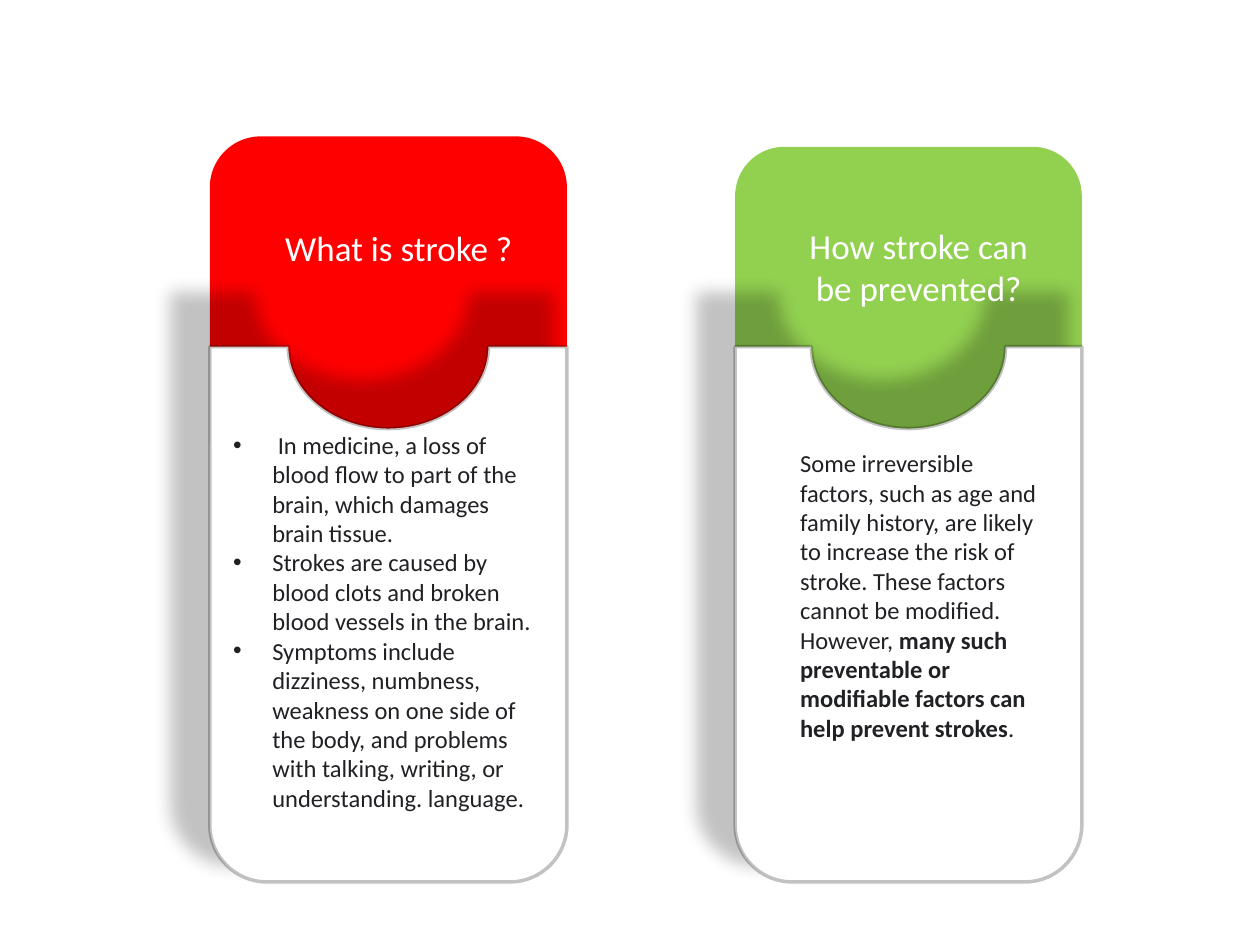
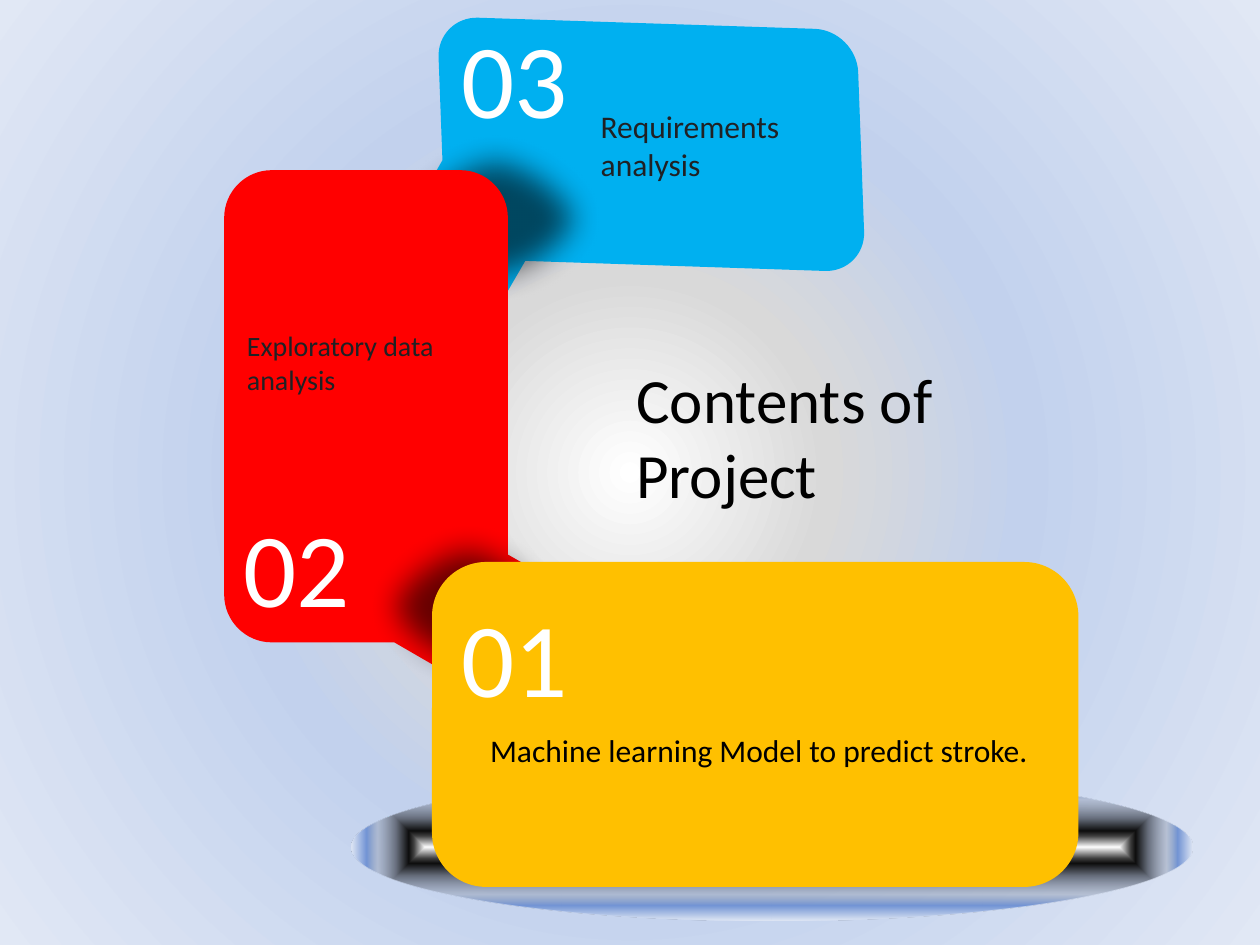
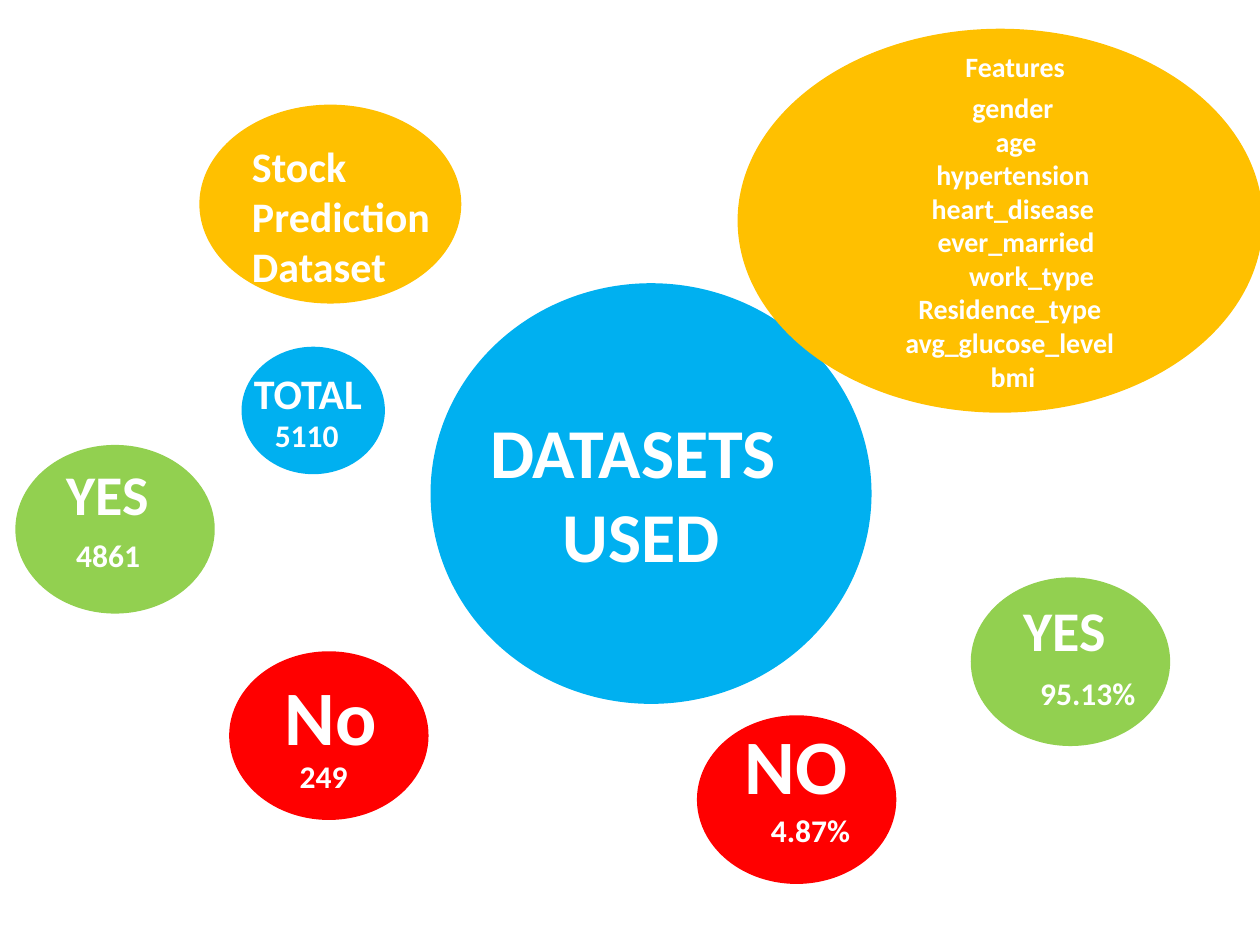
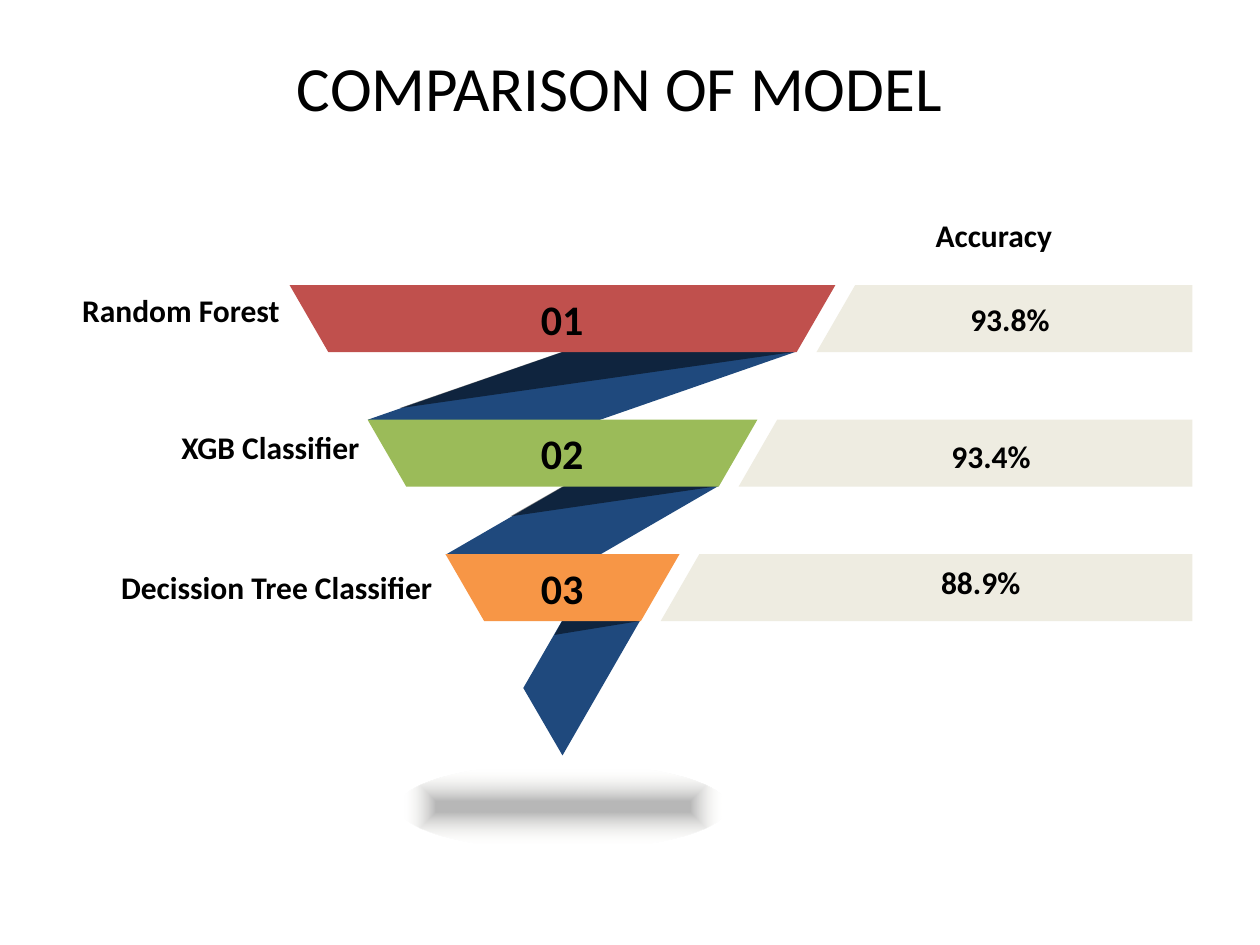
"""Build four slides on a stroke prediction project."""
from dataclasses import dataclass

from lxml import etree
from pptx import Presentation
from pptx.dml.color import RGBColor
from pptx.enum.shapes import MSO_SHAPE
from pptx.enum.text import MSO_ANCHOR, MSO_AUTO_SIZE, PP_ALIGN
from pptx.oxml import parse_xml
from pptx.oxml.ns import nsdecls, qn
from pptx.util import Cm, Pt

OVAL = MSO_SHAPE.OVAL
ROUNDED = MSO_SHAPE.ROUNDED_RECTANGLE
TOP_ROUNDED = MSO_SHAPE.ROUND_2_SAME_RECTANGLE
LEFT, CENTER, RIGHT = PP_ALIGN.LEFT, PP_ALIGN.CENTER, PP_ALIGN.RIGHT
TOP, MIDDLE = MSO_ANCHOR.TOP, MSO_ANCHOR.MIDDLE
FIT_SHAPE, FIXED = MSO_AUTO_SIZE.SHAPE_TO_FIT_TEXT, MSO_AUTO_SIZE.NONE

FONT = "Calibri"
COLORS = {
    "white": "FFFFFF", "black": "000000", "ink": "202124",
    "red": "FF0000", "green": "92D050", "blue": "00B0F0", "amber": "FFC000",
    "navy": "1F497D", "sand": "EEECE1",
    "brick": "C0504D", "olive": "9BBB59", "orange": "F79646",
}
PAGE_GLOW = [(0, "FFFFFF", 100), (25, "D9D9D9", 100), (50, "C2D1ED", 100), (100, "E1E8F5", 100)]
PLATE_GLOW = [(0, "FFFFFF", 100), (15, "404040", 100), (22, "0D0D0D", 100), (39, "686F7D", 100),
              (64, "95A0B5", 48), (79, "7294D5", 100), (100, "E1E8F5", 100)]
FLOOR_GLOW = [(12, "595959", 43), (86, "EEECE1", 0), (100, "F2F2F2", 0)]
SOFT_EDGE = f'<a:softEdge {nsdecls("a")} rad="228600"/>'
PANEL_SHADOW = (f'<a:outerShdw {nsdecls("a")} blurRad="127000" dist="320000" dir="13980000" '
                'sx="107000" sy="107000" algn="ctr" rotWithShape="0"><a:srgbClr val="000000">'
                '<a:alpha val="23000"/></a:srgbClr></a:outerShdw>')

Area = tuple[float, float, float, float]
Point = tuple[float, float]


@dataclass
class Corner:
    """An outline corner in centimetres, with the reach of its arc on both sides."""
    x: float
    y: float
    back: float = 0
    ahead: float = 0


@dataclass
class Caption:
    """A text box and its look."""
    area: Area
    text: str
    size: int
    color: str = "white"
    bold: bool = False
    align: int = LEFT
    anchor: int = TOP
    flush: bool = False
    wrap: bool = True
    fit: int = FIT_SHAPE


@dataclass
class Card:
    """A headed panel with a notch."""
    left: float
    top: float
    width: float
    color: str
    heading: Caption
    body: Caption


@dataclass
class Bubble:
    """An oval with its captions."""
    area: Area
    color: str
    captions: list[Caption]


@dataclass
class Step:
    """One level of the model funnel."""
    label: Caption
    value: Caption
    color: str
    ribbon: list[Point]
    shade_tip: Point


def set_alpha(fill_holder, percent: int) -> None:
    """Make the solid fill inside an element partly transparent."""
    color = fill_holder.find(qn("a:solidFill")).find(qn("a:srgbClr"))
    etree.SubElement(color, qn("a:alpha")).set("val", str(percent * 1000))


def set_gradient(fill_holder, stops: list, shape: str) -> None:
    """Replace the solid fill inside an element by a centred gradient."""
    marks = "".join(
        f'<a:gs pos="{place * 1000}"><a:srgbClr val="{color}">'
        f'<a:alpha val="{alpha * 1000}"/></a:srgbClr></a:gs>'
        for place, color, alpha in stops)
    gradient = parse_xml(
        f'<a:gradFill {nsdecls("a")} rotWithShape="1"><a:gsLst>{marks}</a:gsLst>'
        f'<a:path path="{shape}"><a:fillToRect l="50000" t="50000" r="50000" b="50000"/>'
        '</a:path></a:gradFill>')
    fill_holder.replace(fill_holder.find(qn("a:solidFill")), gradient)


def paint(shape, color: str, alpha: int = 100):
    """Give a shape a flat fill without line or shadow."""
    shape.shadow.inherit = False
    shape.fill.solid()
    shape.fill.fore_color.rgb = RGBColor.from_string(COLORS[color])
    shape.line.fill.background()
    if alpha < 100:
        set_alpha(shape.element.spPr, alpha)
    return shape


def add_effect(shape, effect: str) -> None:
    """Put one effect on a painted shape."""
    shape.element.spPr.find(qn("a:effectLst")).append(parse_xml(effect))


def add_preset(page, kind: int, area: Area, color: str, alpha: int = 100):
    """Add a painted preset shape."""
    return paint(page.shapes.add_shape(kind, *map(Cm, area)), color, alpha)


def add_polygon(page, points: list[Point], color: str, alpha: int = 100):
    """Add a painted closed outline."""
    start, *others = [(Cm(x), Cm(y)) for x, y in points]
    builder = page.shapes.build_freeform(*start)
    builder.add_line_segments(others, close=True)
    return paint(builder.convert_to_shape(), color, alpha)


def add_rounded_outline(page, corners: list[Corner], color: str):
    """Add a painted outline whose corners are Bezier arcs."""
    points, curve_starts = [], []

    def visit(spot: complex) -> None:
        """Append a point unless the outline is already there."""
        if not points or abs(complex(*points[-1]) - spot) > 0.01:
            points.append((spot.real, spot.imag))

    for index, corner in enumerate(corners):
        here = complex(corner.x, corner.y)
        if not corner.back:
            visit(here)
            continue
        before, after = corners[index - 1], corners[(index + 1) % len(corners)]
        back, ahead = (reach * gap / abs(gap) for reach, gap in (
            (corner.back, complex(before.x, before.y) - here),
            (corner.ahead or corner.back, complex(after.x, after.y) - here)))
        visit(here + back)
        curve_starts.append(len(points))
        for spot in (here + 0.45 * back, here + 0.45 * ahead, here + ahead):
            visit(spot)

    shape = add_polygon(page, points, color)
    outline = next(shape.element.iter(qn("a:moveTo"))).getparent()
    steps = list(outline)
    for start in curve_starts:
        curve = etree.Element(qn("a:cubicBezTo"))
        outline.replace(steps[start], curve)
        for step in steps[start:start + 3]:
            curve.append(step[0])
        for step in steps[start + 1:start + 3]:
            outline.remove(step)
    return shape


def style_span(span, caption: Caption) -> None:
    """Apply a caption's font to a run."""
    span.font.name = FONT
    span.font.size = Pt(caption.size)
    span.font.bold = caption.bold
    span.font.color.rgb = RGBColor.from_string(COLORS[caption.color])


def write(page, caption: Caption):
    """Add a caption and return its text frame."""
    frame = page.shapes.add_textbox(*map(Cm, caption.area)).text_frame
    frame.word_wrap = caption.wrap
    frame.auto_size = caption.fit
    frame.vertical_anchor = caption.anchor
    if caption.flush:
        frame.margin_left = frame.margin_right = 0
    frame.text = caption.text
    for para in frame.paragraphs:
        para.alignment = caption.align
        for span in para.runs:
            style_span(span, caption)
    return frame


def add_bullets(frame) -> None:
    """Hang a bullet before every paragraph."""
    for para in frame.paragraphs:
        properties = para._p.get_or_add_pPr()
        properties.set("marL", str(Cm(0.79)))
        properties.set("indent", str(-Cm(0.79)))
        etree.SubElement(properties, qn("a:buFont")).set("typeface", "Arial")
        etree.SubElement(properties, qn("a:buChar")).set("char", "•")


def draw_card(page, card: Card):
    """Draw a headed card and return the frame of its body."""
    edge, bottom, curve, depth = 6.99, 17.78, 1.15, 1.65
    add_preset(page, TOP_ROUNDED, (card.left, card.top, card.width, 8.92 - card.top), card.color)
    middle, right = card.left + card.width / 2, card.left + card.width
    reach = 0.28 * card.width
    corners = [
        Corner(card.left, edge),
        Corner(middle - reach, edge), Corner(middle - reach, edge + depth, depth, reach),
        Corner(middle + reach, edge + depth, reach, depth), Corner(middle + reach, edge),
        Corner(right, edge), Corner(right, bottom, curve), Corner(card.left, bottom, curve),
    ]
    panel = add_rounded_outline(page, corners, "white")
    panel.line.color.rgb = RGBColor.from_string(COLORS["black"])
    panel.line.width = Pt(2)
    set_alpha(panel.line._ln, 23)
    add_effect(panel, PANEL_SHADOW)
    write(page, card.heading)
    return write(page, card.body)


def build_stroke_page(page) -> None:
    """Explain stroke and its prevention."""
    meaning = Card(
        4.23, 2.75, 7.2, "red",
        Caption((5.5, 4.45, 5.08, 1.11), "What is stroke ?", 20, align=CENTER),
        Caption((4.45, 8.54, 6.77, 9.25),
                " In medicine, a loss of blood flow to part of the brain, "
                "which damages brain tissue.\n"
                "Strokes are caused by blood clots and broken blood vessels in the brain.\n"
                "Symptoms include dizziness, numbness, weakness on one side of the body, "
                "and problems with talking, writing, or understanding. language.", 14, "ink"))
    prevention = Card(
        14.82, 2.96, 6.99, "green",
        Caption((15.66, 4.4, 5.72, 1.96), "How stroke can be prevented?", 20, align=CENTER),
        Caption((15.88, 8.91, 5.28, 6.25),
                "Some irreversible factors, such as age and family history, are likely to "
                "increase the risk of stroke. These factors cannot be modified. However, ",
                14, "ink"))
    add_bullets(draw_card(page, meaning))
    para = draw_card(page, prevention).paragraphs[0]
    ending = [("many such preventable or modifiable factors can help prevent strokes", True),
              (".", False)]
    for words, bold in ending:
        span = para.add_run()
        span.text = words
        style_span(span, prevention.body)
        span.font.bold = bold


def build_contents_page(page) -> None:
    """List the contents of the project."""
    page.background.fill.solid()
    page.background.fill.fore_color.rgb = RGBColor.from_string(COLORS["white"])
    set_gradient(page.element.find(".//" + qn("p:bgPr")), PAGE_GLOW, "circle")

    blue_callout = [Corner(17.27, 0.61, 0.85), Corner(17.45, 5.49, 0.82), Corner(10.59, 5.26),
                    Corner(8.69, 8.53, 1.15), Corner(6.63, 7.24, 1.1), Corner(8.92, 3.23),
                    Corner(8.81, 0.33, 0.83)]
    red_callout = [Corner(4.52, 3.43, 0.96), Corner(10.24, 3.43, 0.96), Corner(10.24, 11.18),
                   Corner(14.05, 13.36, 1.28), Corner(12.7, 15.7, 1.28), Corner(7.95, 12.95),
                   Corner(4.52, 12.95, 0.96)]
    add_rounded_outline(page, blue_callout, "blue")
    add_effect(add_preset(page, OVAL, (7.65, 2.57, 4.67, 3.68), "black", 60), SOFT_EDGE)
    add_rounded_outline(page, red_callout, "red")
    write(page, Caption((4.65, 10.01, 3.61, 2.82), "02", 60))
    write(page, Caption((9.06, 0.14, 3.38, 5.38), "03", 60))
    write(page, Caption((11.86, 2.03, 5.28, 1.8), "Requirements analysis", 18, "ink"))
    plate = add_preset(page, OVAL, (7.09, 15.59, 16.94, 2.97), "white")
    set_gradient(plate.element.spPr, PLATE_GLOW, "shape")
    add_effect(add_preset(page, OVAL, (7.21, 10.39, 4.45, 3.68), "black", 60), SOFT_EDGE)
    add_preset(page, ROUNDED, (8.71, 11.33, 13.03, 6.55), "amber")
    write(page, Caption((9.06, 11.81, 3.38, 2.82), "01", 60))
    write(page, Caption((9.63, 14.61, 12.57, 1.02),
                        "Machine learning Model to predict stroke.", 18, "black"))
    write(page, Caption((4.73, 6.5, 4.98, 2.31), "Exploratory data analysis", 16, "ink"))
    write(page, Caption((12.58, 7.14, 10.08, 3.33), "Contents of Project", 36, "black"))


def build_datasets_page(page) -> None:
    """Show the dataset, its counts and its features."""
    def bold(area: Area, text: str, size: int, align: int = CENTER) -> Caption:
        """Make a bold white caption."""
        return Caption(area, text, size, bold=True, align=align)

    features = bold((15.34, 1.7, 10.16, 7.09),
                    "gender\n age\n hypertension \nheart_disease\n ever_married\nwork_type \n"
                    "Residence_type \navg_glucose_level \nbmi", 16)
    bubbles = [
        Bubble((8.68, 5.71, 8.89, 8.48), "blue",
               [bold((9.53, 8.11, 6.78, 3.68), "DATASETS \nUSED", 40)]),
        Bubble((4.02, 2.11, 5.28, 4.01), "amber",
               [bold((4.83, 2.7, 5.28, 4.37), "Stock Prediction\nDataset", 24, LEFT)]),
        Bubble((0.31, 8.97, 4.02, 3.4), "green",
               [bold((0, 9.14, 4.34, 1.63), "YES", 32), bold((1.01, 10.69, 2.34, 1.02), "4861", 18)]),
        Bubble((4.87, 6.99, 2.89, 2.57), "blue",
               [bold((4.87, 7.29, 2.9, 1.27), "TOTAL", 24, LEFT),
                bold((5.29, 8.27, 1.91, 1.02), "5110", 18, LEFT)]),
        Bubble((4.62, 13.13, 4.02, 3.4), "red",
               [bold((4.48, 13.36, 4.39, 2.13), "No", 44),
                bold((5.51, 15.14, 2.03, 1.02), "249", 18)]),
        Bubble((14.87, 0.58, 10.59, 7.74), "amber",
               [bold((17.48, 0.88, 5.97, 1.63), "Features", 16)]),
        Bubble((19.57, 11.64, 4.02, 3.4), "green",
               [bold((19.5, 11.89, 3.94, 1.63), "YES", 32),
                bold((20.42, 13.46, 3.02, 1.02), "95.13%", 18)]),
        Bubble((14.05, 14.42, 4.02, 3.4), "red",
               [bold((14.04, 14.35, 4.02, 2.13), "NO", 44),
                bold((15.11, 16.23, 2.46, 1.02), "4.87%", 18)]),
    ]
    for bubble in bubbles:
        add_preset(page, OVAL, bubble.area, bubble.color)
        for caption in bubble.captions:
            write(page, caption)
        if bubble.captions[0].text == "Features":
            shifted = write(page, features).paragraphs[5]
            shifted._p.get_or_add_pPr().set("marL", str(Cm(0.88)))


def build_comparison_page(page) -> None:
    """Compare the accuracy of the models in a funnel."""
    def label(left: float, top: float, text: str, align: int, width: float = 6.63) -> Caption:
        """Make a bold black label."""
        return Caption((left, top, width, 1.02), text, 18, "black", True, align, MIDDLE, True)

    steps = [
        Step(label(-0.99, 5.74, "Random Forest", RIGHT), label(17.31, 5.92, "93.8%", CENTER, 6.1),
             "brick", [(14.73, 5.92), (16.05, 7.09), (8.97, 9.55), (7.42, 8.46)], (8.05, 8.23)),
        Step(label(0.62, 8.51, "XGB Classifier", RIGHT), label(16.93, 8.69, "93.4%", CENTER, 6.1),
             "olive", [(13.26, 8.71), (14.48, 9.8), (10.39, 12.17), (8.99, 11.18)], (10.29, 10.41)),
        Step(label(2.09, 11.33, "Decission Tree Classifier", RIGHT),
             label(16.72, 11.23, "88.9%", CENTER, 6.1),
             "orange", [(11.53, 12.17), (12.9, 12.52), (11.34, 15.23), (10.55, 13.87)],
             (11.18, 12.8)),
    ]
    height, slant, pitch, narrowing = 1.35, 0.78, 2.71, 1.57
    tops = [5.75 + pitch * index for index in range(len(steps))]

    for step in reversed(steps):
        add_polygon(page, step.ribbon, "navy")
    for index, (step, top) in enumerate(zip(steps, tops)):
        start = 17.24 - narrowing * index
        add_polygon(page, [(start, top), (24.04, top), (24.04, top + height),
                           (start - slant, top + height)], "sand")
        write(page, step.label)
        write(page, step.value)
    for step in steps:
        add_polygon(page, [*step.ribbon[:2], step.shade_tip], "black", 50)
    for index, (step, top) in enumerate(zip(steps, tops)):
        left, right = 5.84 + narrowing * index, 16.84 - narrowing * index
        add_polygon(page, [(left, top), (right, top), (right - slant, top + height),
                           (left + slant, top + height)], step.color)
        write(page, Caption((10.65, top + 0.04, 1.37, 1.27), f"{index + 1:02}", 24, "black",
                            True, CENTER, MIDDLE, wrap=False))
    floor = add_preset(page, OVAL, (8.03, 15.39, 6.63, 1.73), "white")
    set_gradient(floor.element.spPr, FLOOR_GLOW, "shape")
    write(page, Caption((0.85, 0.85, 23.28, 2.11), "COMPARISON OF MODEL", 36, "black",
                        align=CENTER, fit=FIXED))
    write(page, label(16.72, 4.23, "Accuracy", CENTER))


def main() -> None:
    """Build and save the deck."""
    deck = Presentation()
    deck.slide_width, deck.slide_height = Cm(25.4), Cm(19.05)
    for build in (build_stroke_page, build_contents_page,
                  build_datasets_page, build_comparison_page):
        build(deck.slides.add_slide(deck.slide_layouts[6]))
    deck.save("out.pptx")


if __name__ == "__main__":
    main()
